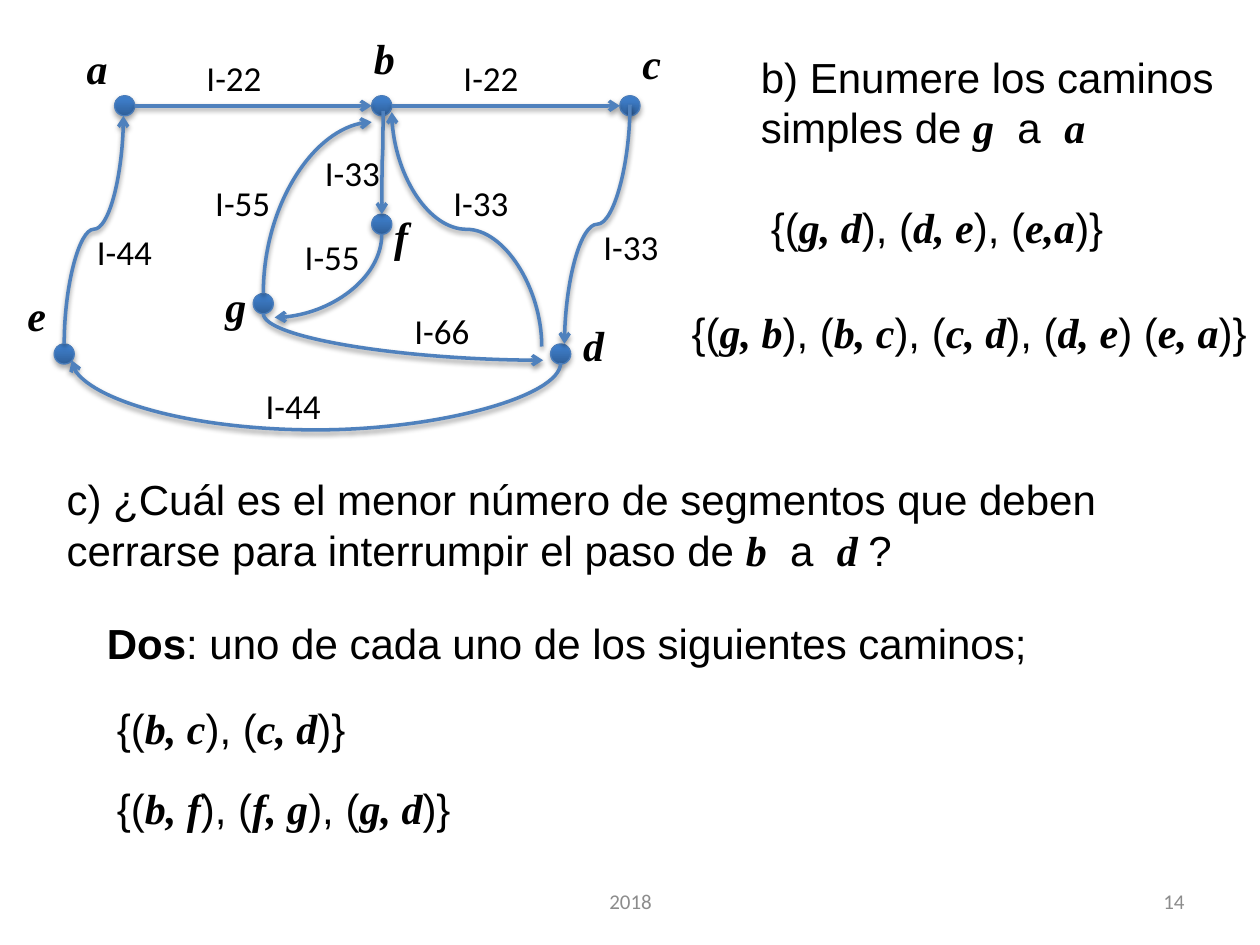
from dataclasses import dataclass
from typing import Any, NamedTuple

from lxml.etree import SubElement
from pptx import Presentation
from pptx.dml.color import RGBColor as RGB
from pptx.enum.shapes import MSO_CONNECTOR as Connector, MSO_SHAPE as Shape
from pptx.enum.text import MSO_ANCHOR as Anchor, PP_ALIGN as Align
from pptx.oxml.ns import qn
from pptx.util import Inches, Pt


@dataclass(frozen=True)
class Theme:
    ink: RGB = RGB(0, 0, 0)
    muted: RGB = RGB(0x8C, 0x8C, 0x8C)
    arrow: RGB = RGB(0x4F, 0x81, 0xBD)
    outline: RGB = RGB(0x4B, 0x7E, 0xBC)
    node_dark: RGB = RGB(0x2F, 0x5F, 0x99)
    node_light: RGB = RGB(0x3D, 0x7C, 0xC7)
    prose_font: str = "Arial"
    vertex_font: str = "Times New Roman"
    road_font: str = "Calibri"
    prose_size: int = 24
    road_size: int = 20
    footer_size: int = 12


class Vertex(NamedTuple):
    name: str
    x: float
    y: float
    label_x: float
    label_y: float


class Curve(NamedTuple):
    """Leaves vertically; with bend_y it also arrives vertically."""
    x1: float
    y1: float
    x2: float
    y2: float
    bend_y: float | None = None


class Road(NamedTuple):
    name: str
    x: float
    y: float


class Passage(NamedTuple):
    """Prose in which *asterisks* enclose vertex names."""
    text: str
    x: float
    y: float
    width: float
    height: float = 0.5


THEME = Theme()
NODE_SIZE = 0.16

VERTICES = [
    Vertex("a", 0.99, 0.84, 0.59, 0.29),
    Vertex("b", 3.03, 0.84, 2.87, 0.21),
    Vertex("c", 5.0, 0.84, 5.0, 0.25),
    Vertex("d", 4.45, 2.81, 4.53, 2.49),
    Vertex("f", 3.03, 1.78, 3.03, 1.62),
    Vertex("g", 2.09, 2.41, 1.69, 2.18),
    Vertex("e", 0.51, 2.81, 0.12, 2.25),
]
STRAIGHT_ROADS = [("a", "b"), ("b", "c")]
CURVES = [
    Curve(0.51, 2.73, 0.98, 0.92, 1.82),  # e to a
    Curve(2.09, 2.33, 2.95, 0.97),        # g to b
    Curve(3.04, 0.88, 3.03, 1.7, 1.24),   # b to f
    Curve(3.03, 1.86, 2.18, 2.52),        # f to g
    Curve(2.09, 2.49, 4.31, 2.86),        # g to d
    Curve(4.45, 2.88, 0.57, 2.86, 3.41),  # d to e
    Curve(5.0, 0.83, 4.48, 2.73, 1.78),   # c to d
    Curve(4.3, 2.75, 3.11, 0.89, 1.82),   # d to b
]
ROADS = [
    Road("I-22", 1.54, 0.4), Road("I-22", 3.58, 0.4),
    Road("I-33", 4.69, 1.74), Road("I-33", 3.5, 1.39), Road("I-33", 2.48, 1.15),
    Road("I-55", 2.32, 1.82), Road("I-55", 1.61, 1.39), Road("I-66", 3.19, 2.41),
    Road("I-44", 0.67, 1.78), Road("I-44", 2.01, 3.0),
]
PASSAGES = [
    Passage("b) Enumere los caminos simples de *g*  a  *a*", 5.94, 0.36, 3.86, 0.91),
    Passage("{(*g, d*), (*d, e*), (*e,a*)}", 6.02, 1.55, 3.23),
    Passage("{(*g, b*), (*b, c*), (*c, d*), (*d, e*) (*e, a*)}", 5.39, 2.38, 4.61),
    Passage("c) ¿Cuál es el menor número de segmentos que deben cerrarse para "
            "interrumpir el paso de *b*  a  *d *?", 0.43, 3.71, 9.29, 0.91),
    Passage("{(*b, c*), (*c, d*)}", 0.83, 5.53, 3.23),
    Passage("{(*b, f*), (*f, g*), (*g, d*)}", 0.83, 6.16, 3.23),
]


def add_soft_shadow(shape: Any, opacity: int, distance: float) -> None:
    effects = SubElement(shape._element.spPr, qn("a:effectLst"))
    shadow = SubElement(effects, qn("a:outerShdw"), blurRad=str(Pt(3.1)),
                        dist=str(Pt(distance)), dir="5400000", rotWithShape="0")
    black = SubElement(shadow, qn("a:srgbClr"), val="000000")
    SubElement(black, qn("a:alpha"), val=str(opacity * 1000))


def add_text(shapes: Any, text: str, x: float, y: float, width: float, height: float,
             font: str, size: int, color: RGB = THEME.ink) -> Any:
    frame = shapes.add_textbox(*map(Inches, (x, y, width, height))).text_frame
    frame.word_wrap = True
    frame.text = text
    style_run(frame.paragraphs[0].runs[0], font, size, color)
    return frame


def style_run(run: Any, font: str, size: int, color: RGB = THEME.ink) -> None:
    run.font.name, run.font.size, run.font.color.rgb = font, Pt(size), color


def add_passage(shapes: Any, passage: Passage) -> None:
    pieces = passage.text.split("*")
    frame = add_text(shapes, pieces[0], *passage[1:], THEME.prose_font, THEME.prose_size)
    frame.margin_right = 0
    for index, piece in enumerate(pieces[1:], start=1):
        run = frame.paragraphs[0].add_run()
        run.text = piece
        is_vertex = index % 2 == 1
        style_run(run, THEME.vertex_font if is_vertex else THEME.prose_font, THEME.prose_size)
        run.font.bold = run.font.italic = is_vertex


def add_node(shapes: Any, vertex: Vertex) -> None:
    corner = vertex.x - NODE_SIZE / 2, vertex.y - NODE_SIZE / 2
    node = shapes.add_shape(Shape.OVAL, *map(Inches, (*corner, NODE_SIZE, NODE_SIZE)))
    node.fill.gradient()
    node.fill.gradient_angle = 90
    for stop, color, position in zip(node.fill.gradient_stops,
                                     (THEME.node_dark, THEME.node_light), (0, 0.8)):
        stop.color.rgb, stop.position = color, position
    node.line.color.rgb, node.line.width = THEME.outline, Pt(0.75)
    add_soft_shadow(node, 35, 1.8)


def finish_arrow(arrow: Any) -> None:
    arrow.line.color.rgb, arrow.line.width = THEME.arrow, Pt(2)
    SubElement(arrow.line._get_or_add_ln(), qn("a:tailEnd"), type="arrow")
    add_soft_shadow(arrow, 38, 1.6)


def add_straight(shapes: Any, start: Vertex, end: Vertex) -> None:
    radius = NODE_SIZE / 2
    finish_arrow(shapes.add_connector(Connector.STRAIGHT, *map(
        Inches, (start.x + radius, start.y, end.x - radius, end.y))))


def add_curve(shapes: Any, curve: Curve) -> None:
    # A quarter turn makes the connector's own x axis run down the slide
    along, across = abs(curve.y2 - curve.y1), abs(curve.x2 - curve.x1)
    left = (curve.x1 + curve.x2 - along) / 2
    top = (curve.y1 + curve.y2 - across) / 2
    arrow = shapes.add_connector(Connector.CURVE, *map(
        Inches, (left, top, left + along, top + across)))
    xfrm = arrow._element.spPr.find(qn("a:xfrm"))
    xfrm.set("rot", "5400000")
    xfrm.set("flipH", str(int(curve.y2 < curve.y1)))
    xfrm.set("flipV", str(int(curve.x2 > curve.x1)))
    geometry = arrow._element.spPr.find(qn("a:prstGeom"))
    if curve.bend_y is None:
        geometry.set("prst", "curvedConnector2")
    else:
        bend = (curve.bend_y - curve.y1) / (curve.y2 - curve.y1)
        guides = geometry.find(qn("a:avLst"))
        SubElement(guides, qn("a:gd"), name="adj1", fmla=f"val {round(bend * 100000)}")
    finish_arrow(arrow)


def main() -> None:
    deck = Presentation()
    deck.slide_width, deck.slide_height = Inches(10), Inches(7.5)
    slide = deck.slides.add_slide(deck.slide_layouts[6])

    # Footer and slide number
    for text, x, width, align in (("2018", 3.42, 3.17, Align.CENTER),
                                  ("14", 7.17, 2.33, Align.RIGHT)):
        footer = add_text(slide.shapes, text, x, 6.95, width, 0.4,
                          THEME.road_font, THEME.footer_size, THEME.muted)
        footer.vertical_anchor = Anchor.MIDDLE
        footer.paragraphs[0].alignment = align

    # Road network
    network = slide.shapes.add_group_shape().shapes
    by_name = {vertex.name: vertex for vertex in VERTICES}
    for vertex in VERTICES:
        add_node(network, vertex)
    for start, end in STRAIGHT_ROADS:
        add_straight(network, by_name[start], by_name[end])
    for curve in CURVES:
        add_curve(network, curve)
    for road in ROADS:
        add_text(network, *road, 0.71, 0.44, THEME.road_font, THEME.road_size)
    for vertex in VERTICES:
        label = add_text(network, vertex.name, vertex.label_x, vertex.label_y, 0.47, 0.5,
                         THEME.vertex_font, THEME.prose_size)
        font = label.paragraphs[0].runs[0].font
        font.bold = font.italic = True

    # Questions and answers
    for passage in PASSAGES:
        add_passage(slide.shapes, passage)
    verdict = add_text(slide.shapes, "Dos", 0.75, 4.85, 8.03, 0.5,
                       THEME.prose_font, THEME.prose_size).paragraphs[0]
    verdict.runs[0].font.bold = True
    reason = verdict.add_run()
    reason.text = ": uno de cada uno de los siguientes caminos;"
    style_run(reason, THEME.prose_font, THEME.prose_size)

    deck.save("out.pptx")


if __name__ == "__main__":
    main()
